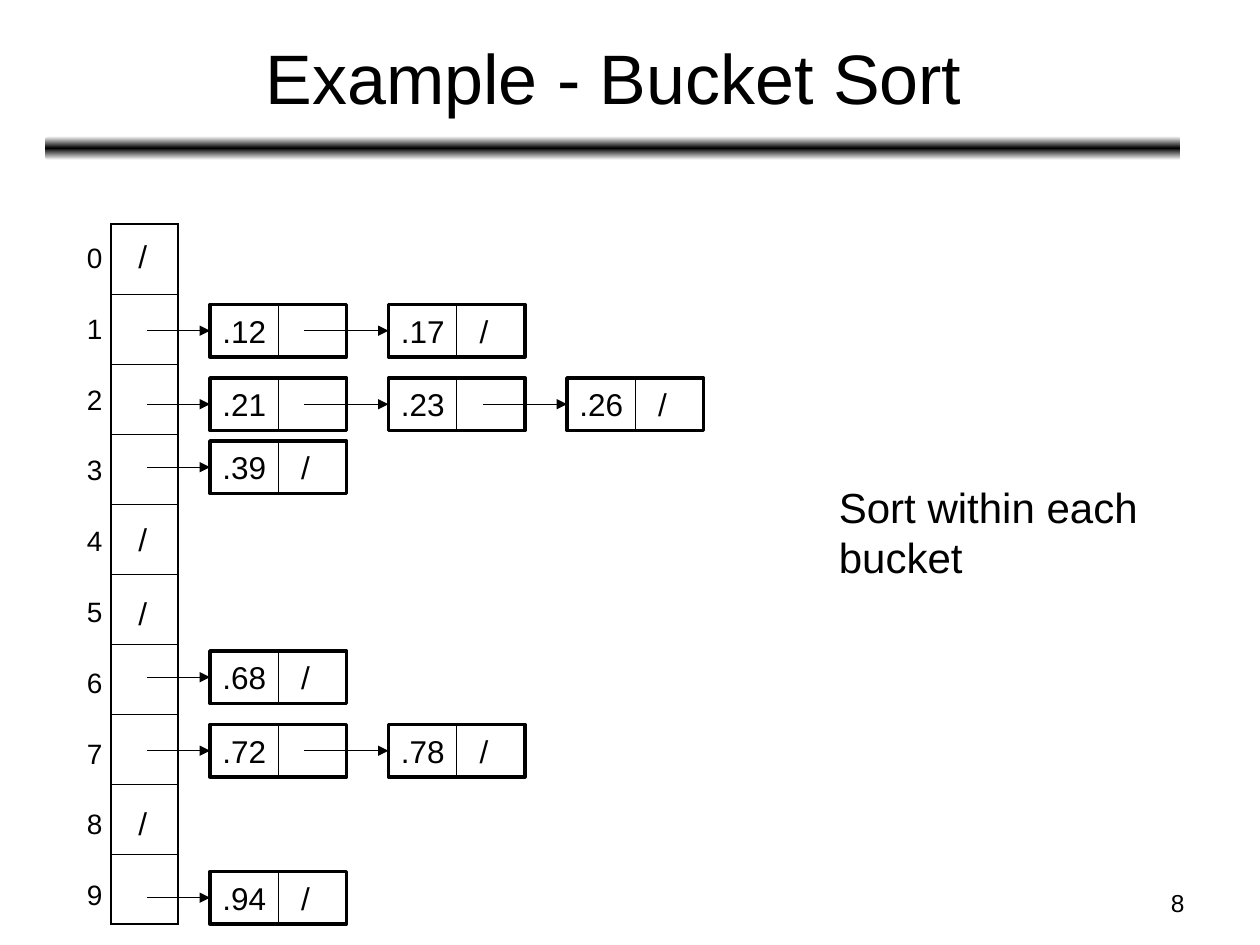
"""Build the bucket sort example slide: ten buckets with their sorted linked lists."""
from copy import deepcopy

from lxml import etree
from pptx import Presentation
from pptx.dml.color import RGBColor
from pptx.enum.shapes import MSO_CONNECTOR, MSO_SHAPE
from pptx.enum.text import MSO_ANCHOR, PP_ALIGN
from pptx.oxml.ns import qn
from pptx.util import Pt

LEFT, CENTER, RIGHT = PP_ALIGN.LEFT, PP_ALIGN.CENTER, PP_ALIGN.RIGHT
TOP, MIDDLE = MSO_ANCHOR.TOP, MSO_ANCHOR.MIDDLE
RECT, ROUNDED = MSO_SHAPE.RECTANGLE, MSO_SHAPE.ROUNDED_RECTANGLE
STRAIGHT = MSO_CONNECTOR.STRAIGHT

FONT = "Arial"
COLORS = {"ink": "000000", "paper": "FFFFFF"}

TITLE = "Example - Bucket Sort"
NOTE = ["Sort within each", "bucket"]
PAGE = "8"
END = "/"
BUCKET_COUNT = 10
EMPTY_BUCKETS = {0: 131.8, 4: 293.8, 5: 336, 8: 456}
CHAINS = [
    (174, [".12", ".17"]),
    (216, [".21", ".23", ".26"]),
    (252, [".39"]),
    (372, [".68"]),
    (414, [".72", ".78"]),
    (498, [".94"]),
]

TABLE_X, TABLE_Y, TABLE_W, ROW_H = 63.4, 128.1, 38.2, 40
LABEL_X, LABEL_Y, LABEL_STEP = 42.5, 134, 40.45
NODE_X, NODE_STEP, NODE_W, NODE_H = 120, 102, 78, 30
BUCKET_ARROW_X, LINK_OFFSET, END_TAB = 84, 54, 45
OUTER_LINE, INNER_LINE = 1.08, 0.45


def rgb(name):
    return RGBColor.from_string(COLORS[name])


def write(tf, lines, size, align=LEFT, anchor=TOP, wrap=False):
    tf.word_wrap = wrap
    tf.vertical_anchor = anchor
    for i, line in enumerate(lines):
        p = tf.add_paragraph() if i else tf.paragraphs[0]
        p.alignment = align
        r = p.add_run()
        r.text = line
        r.font.name, r.font.size = FONT, Pt(size)
        r.font.color.rgb = rgb("ink")


def add_text(s, box, lines, size, **layout):
    sp = s.shapes.add_textbox(*map(Pt, box))
    write(sp.text_frame, lines, size, **layout)


def add_line(s, x1, y1, x2, y2, arrow=False):
    c = s.shapes.add_connector(STRAIGHT, Pt(x1), Pt(y1), Pt(x2), Pt(y2))
    c.line.color.rgb, c.line.width = rgb("ink"), Pt(0.75)
    if arrow:
        etree.SubElement(c.line._get_or_add_ln(), qn("a:tailEnd"), type="triangle")
    etree.SubElement(c._element.spPr, qn("a:effectLst"))


def add_rule(s):
    sp = s.shapes.add_shape(ROUNDED, Pt(25.9), Pt(77.8), Pt(648.7), Pt(13.7))
    sp.shadow.inherit = False
    sp.line.fill.background()
    sp.fill.gradient()
    sp.fill.gradient_angle = 90
    stop_list = next(sp._element.iter(qn("a:gsLst")))
    stop_list.append(deepcopy(stop_list[0]))
    stops = [(0, "paper"), (0.5, "ink"), (1, "paper")]
    for stop, (position, color) in zip(sp.fill.gradient_stops, stops):
        stop.position, stop.color.rgb = position, rgb(color)


def set_borders(cell, widths):
    tc_pr = cell._tc.get_or_add_tcPr()
    for i, (side, width) in enumerate(widths.items()):
        ln = etree.Element(qn("a:ln" + side), w=str(Pt(width)))
        fill = etree.SubElement(ln, qn("a:solidFill"))
        etree.SubElement(fill, qn("a:srgbClr"), val=COLORS["ink"])
        tc_pr.insert(i, ln)


def add_buckets(s):
    frame = s.shapes.add_table(BUCKET_COUNT, 1, Pt(TABLE_X), Pt(TABLE_Y),
                               Pt(TABLE_W), Pt(ROW_H * BUCKET_COUNT))
    table = frame.table
    table.first_row = table.horz_banding = False
    last = BUCKET_COUNT - 1
    for i, row in enumerate(table.rows):
        row.height = Pt(ROW_H)
        cell = row.cells[0]
        cell.fill.background()
        set_borders(cell, {"L": OUTER_LINE, "R": OUTER_LINE,
                           "T": INNER_LINE if i else OUTER_LINE,
                           "B": INNER_LINE if i < last else OUTER_LINE})
        add_text(s, (LABEL_X, LABEL_Y + i * LABEL_STEP, 23, 26.6), [str(i)], 16)
    for y in EMPTY_BUCKETS.values():
        add_text(s, (72, y, 19.4, 28.8), [END], 18)


def add_node(s, x, y, value, is_last):
    sp = s.shapes.add_shape(RECT, Pt(x), Pt(y), Pt(NODE_W), Pt(NODE_H))
    sp.shadow.inherit = False
    sp.fill.background()
    sp.line.color.rgb, sp.line.width = rgb("ink"), Pt(2)
    if is_last:
        p_pr = sp.text_frame.paragraphs[0]._p.get_or_add_pPr()
        tabs = etree.SubElement(p_pr, qn("a:tabLst"))
        etree.SubElement(tabs, qn("a:tab"), pos=str(Pt(END_TAB)), algn="l")
    text = f"{value}\t{END}" if is_last else value
    write(sp.text_frame, [text], 18, anchor=MIDDLE, wrap=True)
    add_line(s, x + NODE_W / 2, y, x + NODE_W / 2, y + NODE_H)


def add_chain(s, y, values):
    start, mid = BUCKET_ARROW_X, y + NODE_H / 2
    for i, value in enumerate(values):
        x = NODE_X + i * NODE_STEP
        add_node(s, x, y, value, i == len(values) - 1)
        add_line(s, start, mid, x, mid, arrow=True)
        start = x + LINK_OFFSET


def main():
    prs = Presentation()
    prs.slide_width, prs.slide_height = Pt(720), Pt(540)
    s = prs.slides.add_slide(prs.slide_layouts[6])
    add_rule(s)
    add_text(s, (516.2, 504, 167.8, 25.2), [PAGE], 14, align=RIGHT, wrap=True)
    add_text(s, (26.6, 7.9, 648, 71.3), [TITLE], 40,
             align=CENTER, anchor=MIDDLE, wrap=True)
    add_buckets(s)
    for y, values in CHAINS:
        add_chain(s, y, values)
    add_text(s, (472.3, 271.4, 185, 64.8), NOTE, 24)
    prs.save("out.pptx")


if __name__ == "__main__":
    main()
